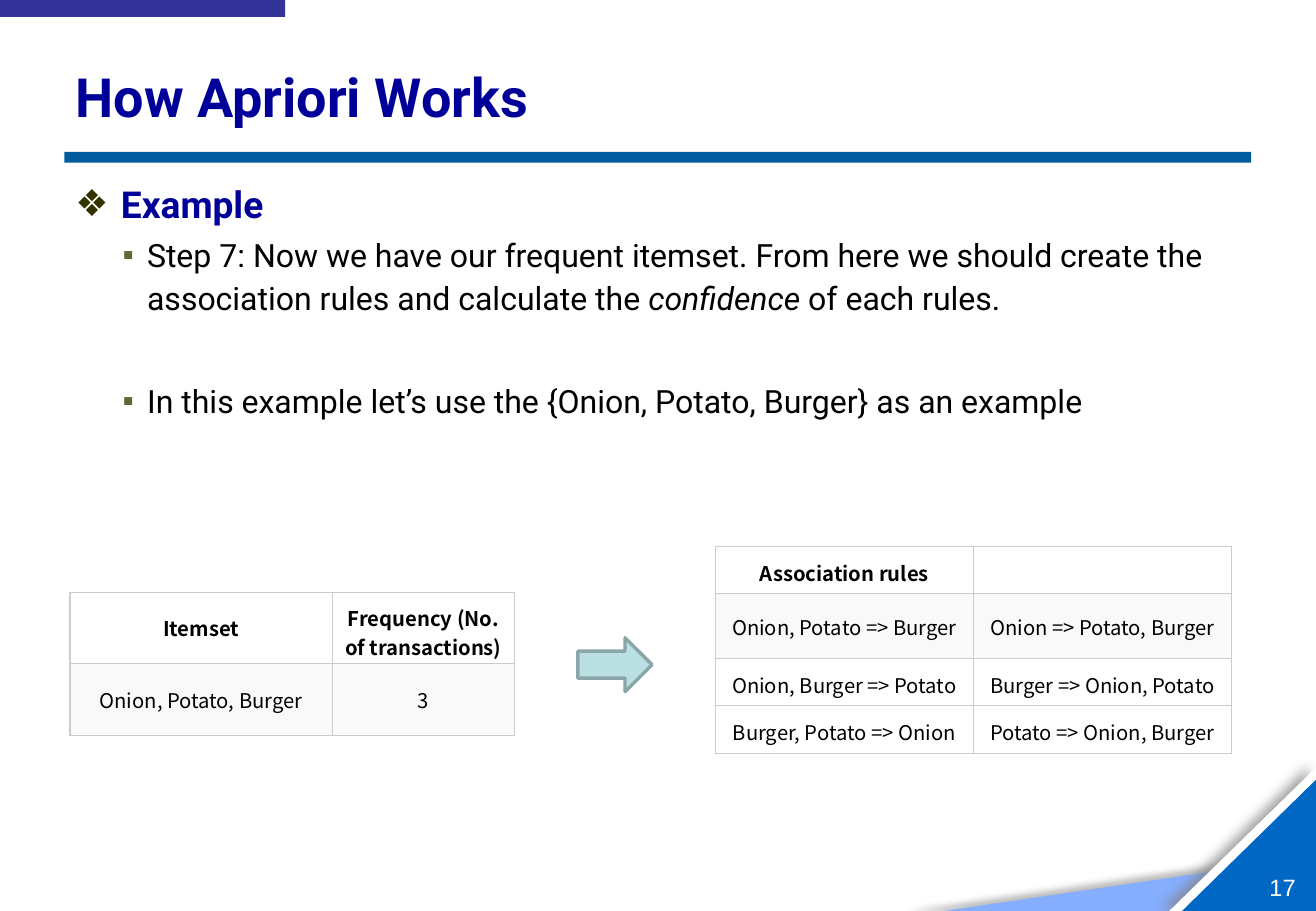
"""Build the slide that turns a frequent itemset into association rules."""
from lxml.etree import SubElement
from pptx import Presentation
from pptx.dml.color import RGBColor
from pptx.enum.shapes import MSO_SHAPE as Shape
from pptx.enum.text import MSO_ANCHOR as Anchor, MSO_AUTO_SIZE as AutoSize, PP_ALIGN as Align
from pptx.oxml.ns import qn
from pptx.util import Pt

SLIDE_SIZE = 780, 540
TITLE = "How Apriori Works"
HEADING = "Example"
STEPS = [
    (3.8, [("Step 7: Now we have our frequent itemset. From here we should create the "
            "association rules and calculate the ", False),
           ("confidence", True), (" of each rules.", False)]),
    (35, [("In this example let’s use the {Onion, Potato, Burger} as an example", False)]),
]
ITEMSETS = [("Itemset", "Frequency (No. of transactions)"),
            ("Onion, Potato, Burger", "3")]
RULES = [("Association rules", ""),
         ("Onion, Potato => Burger", "Onion => Potato, Burger"),
         ("Onion, Burger => Potato", "Burger => Onion, Potato"),
         ("Burger, Potato => Onion", "Potato => Onion, Burger")]
TABLES = [
    (ITEMSETS, 41.5, 351, (155.5, 108), (42.5, 42.5)),
    (RULES, 424, 324, (153, 153), (28, 38.5, 28, 28)),
]
BARS = [((38.2, 90, 703.4, 6.5), "005A9E"), ((0, 0, 169, 10), "333399")]
CORNERS = [
    ((559.5, 507.6, 220.5, 32.4), "85AEFF", ("595959", 40, 4, 22, 180)),
    ((693, 455, 87, 85), "FFFFFF", ("808080", 69, 7, 5, 190)),
    ((700.6, 462.2, 79.4, 77.8), "0067C4", None),
]
NAVY = "000099"


def color(value):
    return RGBColor.from_string(value)


def place(part, box):
    part.left, part.top, part.width, part.height = map(Pt, box)


def add_run(paragraph, text, font, size, ink, bold=False, italic=False):
    run = paragraph.add_run()
    run.text = text
    run.font.name, run.font.size = font, Pt(size)
    run.font.bold, run.font.italic = bold, italic
    run.font.color.rgb = color(ink)


def add_filled(kind, box, fill):
    part = slide.shapes.add_shape(kind, *map(Pt, box))
    part.shadow.inherit = False
    part.fill.solid()
    part.fill.fore_color.rgb = color(fill)
    part.line.fill.background()
    return part


def cast_shadow(part, ink, opacity, blur, distance, angle):
    effects = part.element.spPr.find(qn("a:effectLst"))
    outer = SubElement(effects, qn("a:outerShdw"), blurRad=str(Pt(blur)), dist=str(Pt(distance)),
                       dir=str(angle * 60000), algn="ctr", rotWithShape="0")
    tint = SubElement(outer, qn("a:srgbClr"), val=ink)
    SubElement(tint, qn("a:alpha"), val=str(opacity * 1000))


def set_bullet(paragraph, mark, ink, indent, hanging):
    properties = paragraph._p.get_or_add_pPr()
    properties.set("marL", str(Pt(indent)))
    properties.set("indent", str(-Pt(hanging)))
    tint = SubElement(properties, qn("a:buClr"))
    SubElement(tint, qn("a:srgbClr"), val=ink)
    SubElement(properties, qn("a:buChar"), char=mark)


def set_borders(cell):
    properties = cell._tc.get_or_add_tcPr()
    for side in "LRTB":
        border = SubElement(properties, qn(f"a:ln{side}"), w=str(Pt(0.75)))
        fill = SubElement(border, qn("a:solidFill"))
        SubElement(fill, qn("a:srgbClr"), val="CCCCCC")


def fill_cell(cell, text, row):
    set_borders(cell)
    cell.fill.solid()
    cell.fill.fore_color.rgb = color("F9F9F9" if row == 1 else "FFFFFF")
    cell.vertical_anchor = Anchor.MIDDLE
    cell.margin_left = cell.margin_right = cell.margin_top = cell.margin_bottom = Pt(6.5)
    paragraph = cell.text_frame.paragraphs[0]
    paragraph.alignment = Align.CENTER
    if text:
        add_run(paragraph, text, "Noto Sans CJK KR", 12, "000000", bold=row == 0)
    else:
        SubElement(paragraph._p, qn("a:endParaRPr"), sz="1200")


def add_grid(rows, left, top, widths, heights):
    grid = slide.shapes.add_table(len(rows), len(widths), Pt(left), Pt(top),
                                  Pt(sum(widths)), Pt(sum(heights))).table
    grid.first_row = grid.horz_banding = False
    for column, width in zip(grid.columns, widths):
        column.width = Pt(width)
    for row, (texts, height) in enumerate(zip(rows, heights)):
        grid.rows[row].height = Pt(height)
        for column, text in enumerate(texts):
            fill_cell(grid.cell(row, column), text, row)


deck = Presentation()
deck.slide_width, deck.slide_height = map(Pt, SLIDE_SIZE)
slide = deck.slides.add_slide(deck.slide_layouts[1])

for box, fill, shade in CORNERS:
    corner = add_filled(Shape.RIGHT_TRIANGLE, box, fill)
    corner.element.spPr.xfrm.set("flipH", "1")
    if shade:
        cast_shadow(corner, *shade)
for box, fill in BARS:
    add_filled(Shape.RECTANGLE, box, fill)

page_number = slide.shapes.add_textbox(*map(Pt, (752.4, 517, 18, 17.3))).text_frame
page_number.margin_left = page_number.margin_right = 0
page_number.margin_top = page_number.margin_bottom = 0
page_number.vertical_anchor = Anchor.MIDDLE
page_number.word_wrap = False
add_run(page_number.paragraphs[0], "17", "Arial", 14, "FFFFFF")

title = slide.shapes.title
place(title, (37.5, 28.8, 703.4, 56.2))
title.text_frame.auto_size = AutoSize.NONE
title.text_frame.vertical_anchor = Anchor.MIDDLE
title.text_frame.paragraphs[0].alignment = Align.LEFT
add_run(title.text_frame.paragraphs[0], TITLE, "Roboto", 32, NAVY, bold=True)

body = slide.placeholders[1]
place(body, (37.5, 103.7, 703.4, 413.3))
body.text_frame.auto_size = AutoSize.NONE
heading = body.text_frame.paragraphs[0]
heading.space_before = Pt(4.4)
set_bullet(heading, "❖", "333300", 27, 27)
add_run(heading, HEADING, "Roboto", 22, NAVY, bold=True)
for gap, runs in STEPS:
    step = body.text_frame.add_paragraph()
    step.level = 1
    step.line_spacing, step.space_before, step.space_after = 1.1, Pt(gap), Pt(1)
    set_bullet(step, "▪", "666633", 42.5, 14.5)
    for text, italic in runs:
        add_run(step, text, "Roboto", 19, "000000", italic=italic)

for table in TABLES:
    add_grid(*table)

arrow = add_filled(Shape.RIGHT_ARROW, (342.5, 378, 44, 32), "BBE0E3")
arrow.line.color.rgb = color("8AA6A8")
arrow.line.width = Pt(2)

deck.save("out.pptx")
